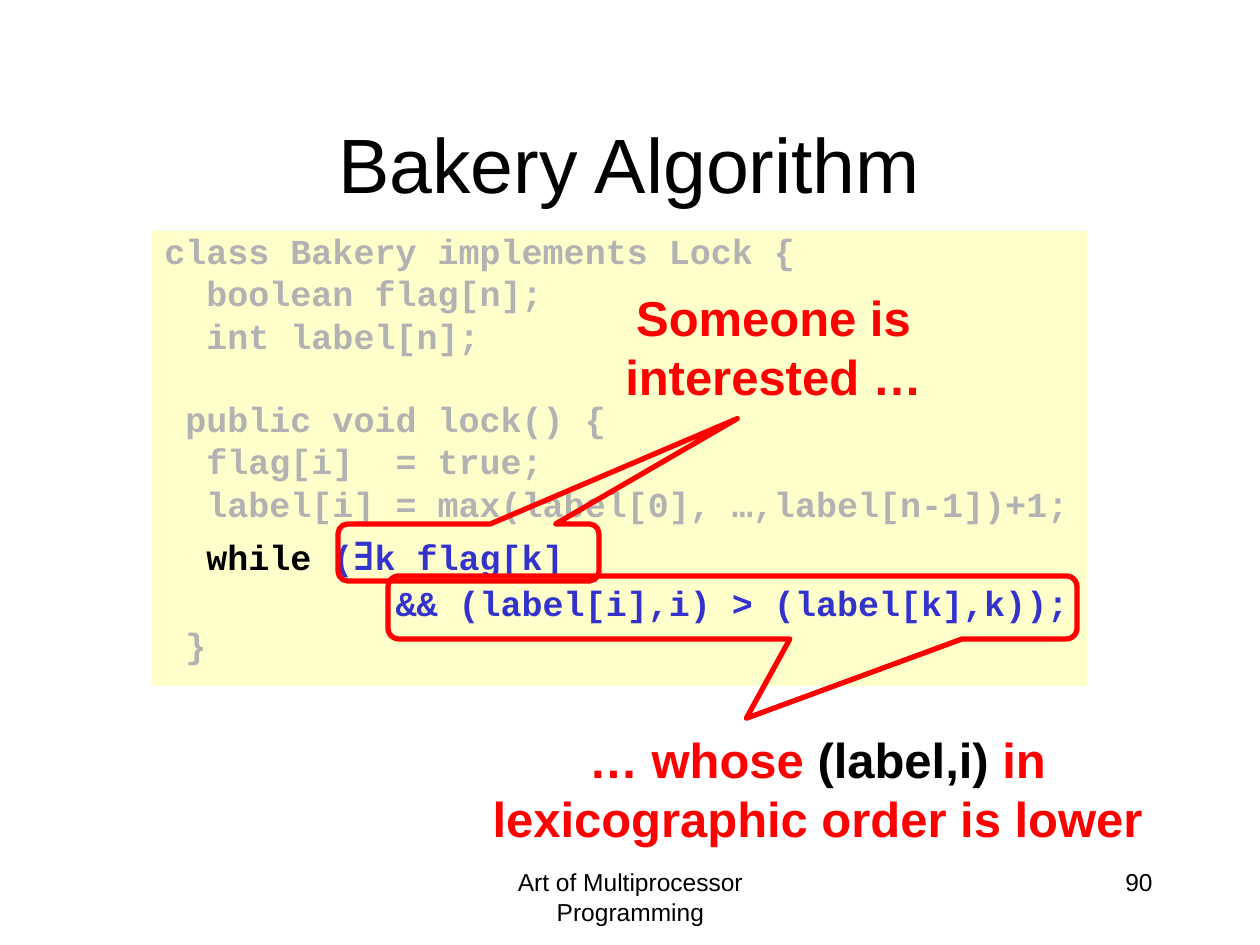
"""Build the Bakery Algorithm slide: a code panel with two annotated callouts."""
from pptx import Presentation
from pptx.dml.color import RGBColor
from pptx.enum.shapes import MSO_SHAPE
from pptx.enum.text import MSO_ANCHOR, PP_ALIGN
from pptx.util import Pt

PX = 914400 / 126
COLORS = {
    "black": "000000",
    "red": "FF0000",
    "gray": "B2B2B2",
    "blue": "3333CC",
    "cream": "FFFFCC",
}


def place(*lengths):
    return [round(length * PX) for length in lengths]


def write(para, spans, size, name, bold=False):
    para.font.size, para.font.name, para.font.bold = Pt(size), name, bold
    for text, color in spans:
        span = para.add_run()
        span.text = text
        span.font.color.rgb = RGBColor.from_string(COLORS[color])


deck = Presentation()
deck.slide_width, deck.slide_height = place(1260, 945)
page = deck.slides.add_slide(deck.slide_layouts[6])

panel = page.shapes.add_shape(MSO_SHAPE.RECTANGLE, *place(152, 231, 935, 455))
panel.shadow.inherit = False
panel.fill.solid()
panel.fill.fore_color.rgb = RGBColor.from_string(COLORS["cream"])
panel.line.fill.background()
frame = panel.text_frame
frame.word_wrap = True
frame.vertical_anchor = MSO_ANCHOR.TOP

LINE_GAP, SECTION_GAP = 5.1, 28.3
code = [
    (0, [("class Bakery implements Lock {", "gray")]),
    (LINE_GAP, [("  boolean flag[n];", "gray")]),
    (LINE_GAP, [("  int label[n];", "gray")]),
    (SECTION_GAP, [(" public void lock() {", "gray")]),
    (LINE_GAP, [("  flag[i]  = true;", "gray")]),
    (LINE_GAP, [("  label[i] = max(label[0], …,label[n-1])+1;", "gray")]),
    (LINE_GAP, [("  while", "black"), (" (", "blue"), ("∃", "blue"), ("k flag[k]", "blue")]),
    (LINE_GAP, [("           && (label[i],i) > (label[k],k));", "blue")]),
    (LINE_GAP, [(" }", "gray")]),
]
for index, (gap, spans) in enumerate(code):
    para = frame.add_paragraph() if index else frame.paragraphs[0]
    para.alignment = PP_ALIGN.LEFT
    para.line_spacing = 0.8
    para.space_before = Pt(gap)
    write(para, spans, 20, "Courier New", True)
    for span in para.runs:
        if span.text == "∃":
            span.font.size, span.font.name = Pt(28), "Arial"

callouts = [
    ((338, 524, 261, 57), (1.03, -2.35, 0.17)),
    ((388, 576, 689, 63), (0.02, 1.76, 0.17)),
]
for area, adjustments in callouts:
    callout = page.shapes.add_shape(MSO_SHAPE.ROUNDED_RECTANGULAR_CALLOUT, *place(*area))
    callout.shadow.inherit = False
    for index, value in enumerate(adjustments):
        callout.adjustments[index] = value
    callout.fill.background()
    callout.line.color.rgb = RGBColor.from_string(COLORS["red"])
    callout.line.width = Pt(3)

CENTER, RIGHT = PP_ALIGN.CENTER, PP_ALIGN.RIGHT
TOP, MIDDLE = MSO_ANCHOR.TOP, MSO_ANCHOR.MIDDLE
labels = [
    ((94, 84, 1071, 158), 44, False, CENTER, MIDDLE, [("Bakery Algorithm", "black")]),
    ((549, 281, 449, 130), 28, True, CENTER, TOP, [("Someone is interested …", "red")]),
    ((464, 723, 707, 131), 28, True, CENTER, TOP,
     [("… whose ", "red"), ("(label,i) ", "black"), ("in lexicographic order is lower", "red")]),
    ((431, 861, 399, 63), 14, False, CENTER, TOP,
     [("Art of Multiprocessor Programming", "black")]),
    ((903, 861, 262, 63), 14, False, RIGHT, TOP, [("90", "black")]),
]
for area, size, bold, alignment, anchor, spans in labels:
    box = page.shapes.add_textbox(*place(*area))
    box.text_frame.word_wrap = True
    box.text_frame.vertical_anchor = anchor
    para = box.text_frame.paragraphs[0]
    para.alignment = alignment
    write(para, spans, size, "Arial", bold)

deck.save("out.pptx")
